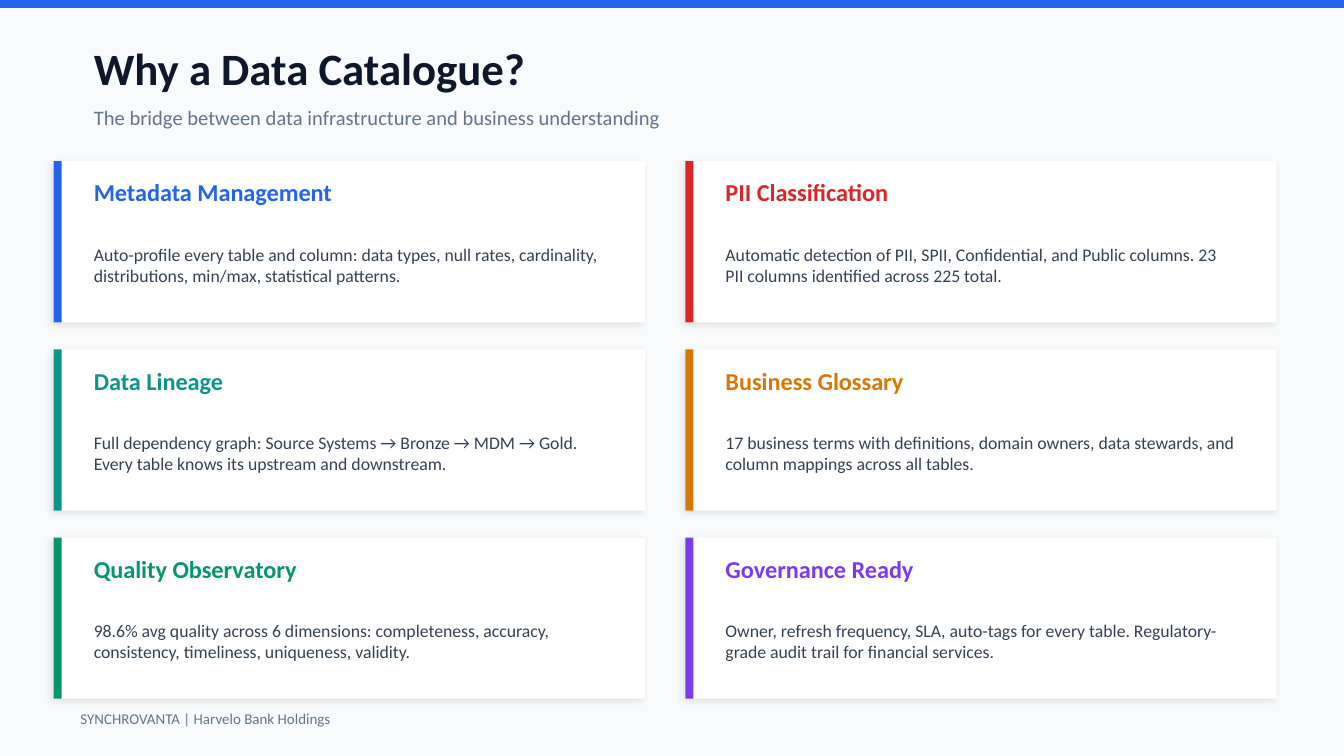
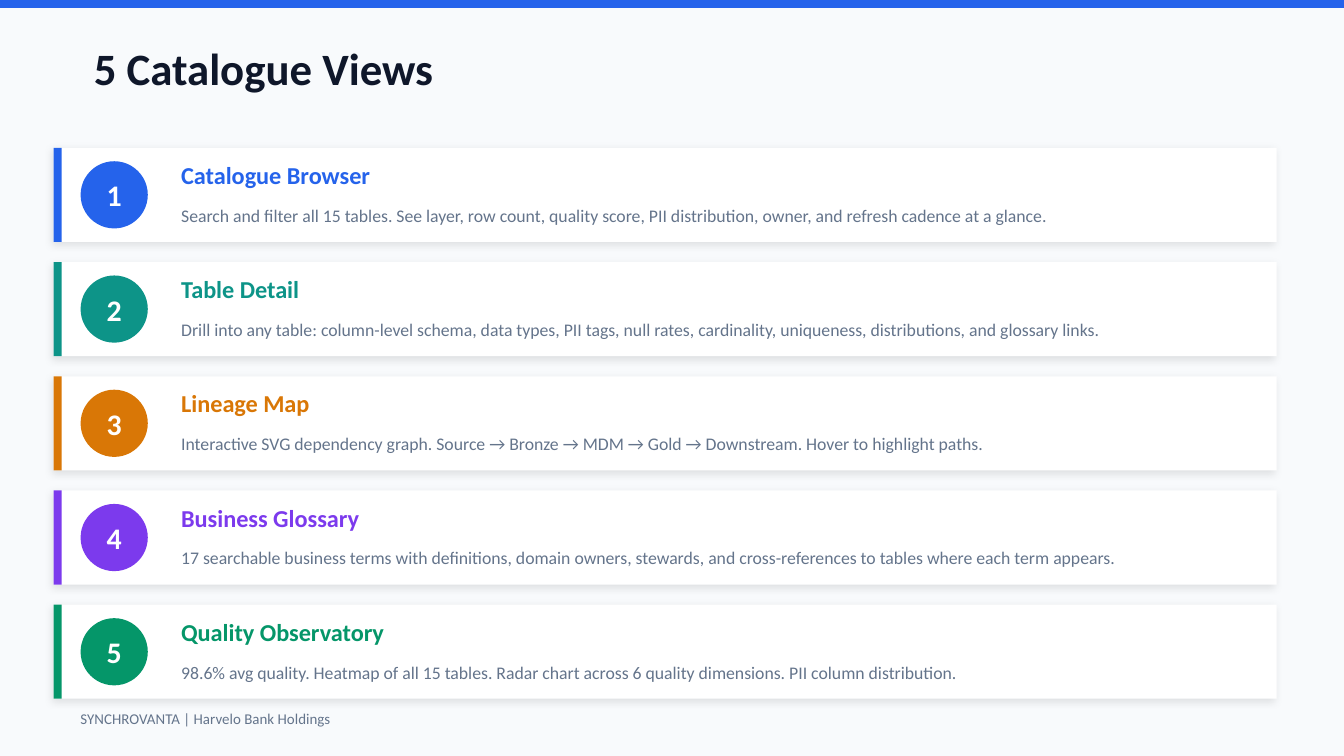
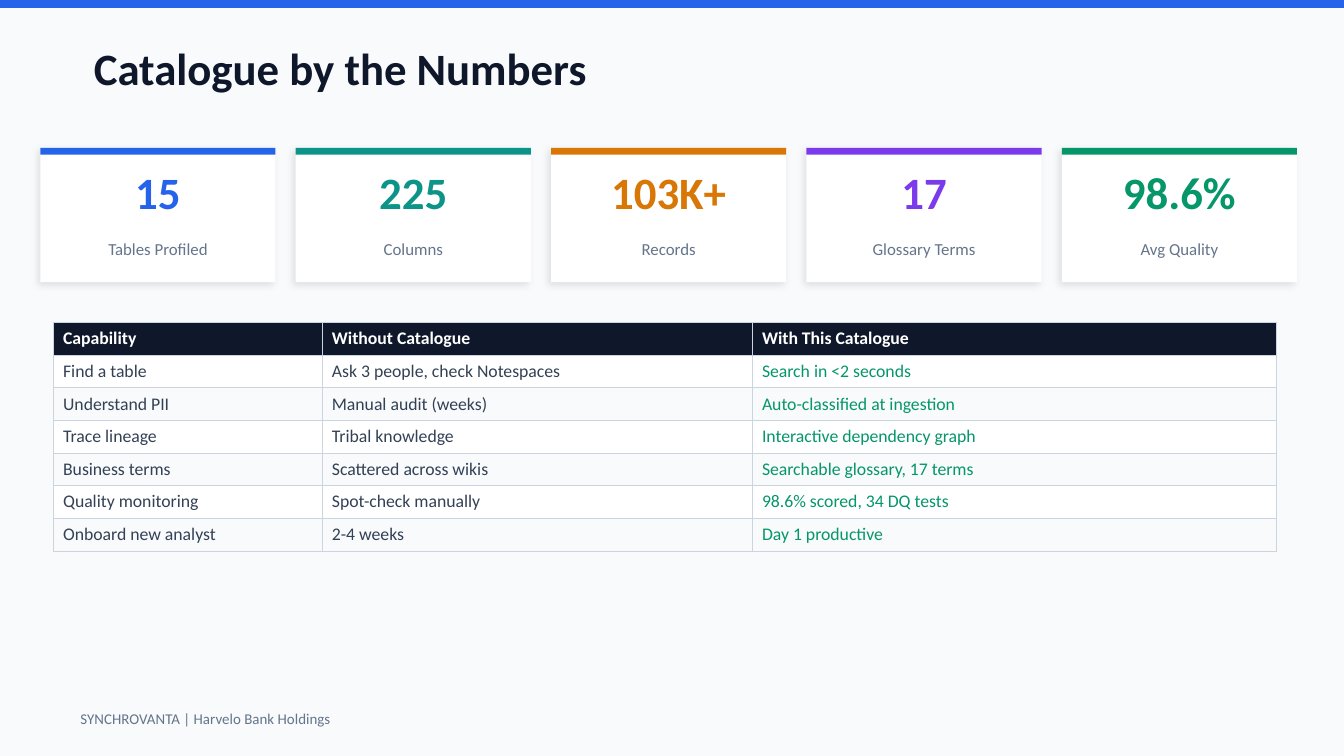
import pptx
import pptx.dml.color
import pptx.enum.shapes
import pptx.enum.text
import pptx.oxml
import pptx.oxml.ns
import pptx.util

Pt = pptx.util.Pt
RGBColor = pptx.dml.color.RGBColor
RECTANGLE = pptx.enum.shapes.MSO_SHAPE.RECTANGLE
OVAL = pptx.enum.shapes.MSO_SHAPE.OVAL
LEFT = pptx.enum.text.PP_ALIGN.LEFT
CENTER = pptx.enum.text.PP_ALIGN.CENTER
NAMESPACE = pptx.oxml.ns.nsdecls("a")

COLORS = {
    "background": "F8FAFC",
    "white": "FFFFFF",
    "ink": "0F172A",
    "body": "334155",
    "muted": "64748B",
    "border": "CBD5E1",
    "blue": "2563EB",
    "red": "DC2626",
    "teal": "0D9488",
    "amber": "D97706",
    "green": "059669",
    "violet": "7C3AED",
}
FONT = "Calibri"
FOOTER = "SYNCHROVANTA | Harvelo Bank Holdings"
SHADOW = (
    f'<a:outerShdw {NAMESPACE} blurRad="50800" dist="25400" dir="8100000" algn="bl" rotWithShape="0">'
    '<a:srgbClr val="000000"><a:alpha val="10000"/></a:srgbClr></a:outerShdw>'
)


def add_block(slide, kind, left, top, width, height, color, raised=False):
    shape = slide.shapes.add_shape(kind, Pt(left), Pt(top), Pt(width), Pt(height))
    shape.shadow.inherit = False
    shape.fill.solid()
    shape.fill.fore_color.rgb = RGBColor.from_string(COLORS[color])
    shape.line.fill.background()
    if raised:
        effects = shape._element.spPr.find(pptx.oxml.ns.qn("a:effectLst"))
        effects.append(pptx.oxml.parse_xml(SHADOW))
    return shape


def add_text(slide, left, top, width, height, text, size, color, bold=False, align=LEFT):
    box = slide.shapes.add_textbox(Pt(left), Pt(top), Pt(width), Pt(height))
    frame = box.text_frame
    frame.word_wrap = True
    frame.vertical_anchor = pptx.enum.text.MSO_ANCHOR.MIDDLE
    paragraph = frame.paragraphs[0]
    paragraph.text = text
    paragraph.alignment = align
    paragraph.font.name = FONT
    paragraph.font.size = Pt(size)
    paragraph.font.bold = bold
    paragraph.font.color.rgb = RGBColor.from_string(COLORS[color])


presentation = pptx.Presentation()
presentation.slide_width = Pt(720)
presentation.slide_height = Pt(405)

slides = []
for title in ["Why a Data Catalogue?", "5 Catalogue Views", "Catalogue by the Numbers"]:
    slide = presentation.slides.add_slide(presentation.slide_layouts[6])
    slide.background.fill.solid()
    slide.background.fill.fore_color.rgb = RGBColor.from_string(COLORS["background"])
    add_block(slide, RECTANGLE, 0, 0, 720, 4.32, "blue")
    add_text(slide, 43.2, 18, 612, 36, title, 24, "ink", bold=True)
    add_text(slide, 36, 374.4, 648, 21.6, FOOTER, 8, "muted")
    slides.append(slide)
reasons_slide, views_slide, numbers_slide = slides

add_text(reasons_slide, 43.2, 51.84, 612, 21.6,
         "The bridge between data infrastructure and business understanding", 11, "muted")
reasons = [
    ("Metadata Management", "blue",
     "Auto-profile every table and column: data types, null rates, cardinality, "
     "distributions, min/max, statistical patterns."),
    ("PII Classification", "red",
     "Automatic detection of PII, SPII, Confidential, and Public columns. "
     "23 PII columns identified across 225 total."),
    ("Data Lineage", "teal",
     "Full dependency graph: Source Systems → Bronze → MDM → Gold. "
     "Every table knows its upstream and downstream."),
    ("Business Glossary", "amber",
     "17 business terms with definitions, domain owners, data stewards, "
     "and column mappings across all tables."),
    ("Quality Observatory", "green",
     "98.6% avg quality across 6 dimensions: completeness, accuracy, "
     "consistency, timeliness, uniqueness, validity."),
    ("Governance Ready", "violet",
     "Owner, refresh frequency, SLA, auto-tags for every table. "
     "Regulatory-grade audit trail for financial services."),
]
for index, (heading, color, description) in enumerate(reasons):
    row, column = divmod(index, 2)
    left = 28.8 + column * 338.4
    top = 86.4 + row * 100.8
    add_block(reasons_slide, RECTANGLE, left, top, 316.8, 86.4, "white", raised=True)
    add_block(reasons_slide, RECTANGLE, left, top, 4.32, 86.4, color)
    add_text(reasons_slide, left + 14.4, top + 5.76, 288, 21.6, heading, 13, color, bold=True)
    add_text(reasons_slide, left + 14.4, top + 30.24, 288, 50.4, description, 9.5, "body")

views = [
    ("Catalogue Browser", "blue",
     "Search and filter all 15 tables. See layer, row count, quality score, "
     "PII distribution, owner, and refresh cadence at a glance."),
    ("Table Detail", "teal",
     "Drill into any table: column-level schema, data types, PII tags, null rates, "
     "cardinality, uniqueness, distributions, and glossary links."),
    ("Lineage Map", "amber",
     "Interactive SVG dependency graph. Source → Bronze → MDM → Gold → Downstream. "
     "Hover to highlight paths."),
    ("Business Glossary", "violet",
     "17 searchable business terms with definitions, domain owners, stewards, "
     "and cross-references to tables where each term appears."),
    ("Quality Observatory", "green",
     "98.6% avg quality. Heatmap of all 15 tables. Radar chart across 6 quality "
     "dimensions. PII column distribution."),
]
for index, (heading, color, description) in enumerate(views):
    top = 79.2 + index * 61.2
    add_block(views_slide, RECTANGLE, 28.8, top, 655.2, 50.4, "white", raised=True)
    add_block(views_slide, RECTANGLE, 28.8, top, 4.32, 50.4, color)
    add_block(views_slide, OVAL, 43.2, top + 7.2, 36, 36, color)
    add_text(views_slide, 43.2, top + 7.2, 36, 36, str(index + 1), 16, "white", bold=True, align=CENTER)
    add_text(views_slide, 90, top + 3.6, 144, 21.6, heading, 13, color, bold=True)
    add_text(views_slide, 90, top + 25.2, 576, 21.6, description, 9.5, "muted")

metrics = [
    ("15", "Tables Profiled", "blue"),
    ("225", "Columns", "teal"),
    ("103K+", "Records", "amber"),
    ("17", "Glossary Terms", "violet"),
    ("98.6%", "Avg Quality", "green"),
]
for index, (value, label, color) in enumerate(metrics):
    left = 21.6 + index * 136.8
    add_block(numbers_slide, RECTANGLE, left, 79.2, 126, 72, "white", raised=True)
    add_block(numbers_slide, RECTANGLE, left, 79.2, 126, 3.6, color)
    add_text(numbers_slide, left, 86.4, 126, 32.4, value, 24, color, bold=True, align=CENTER)
    add_text(numbers_slide, left, 122.4, 126, 21.6, label, 9, "muted", align=CENTER)

comparison = [
    ("Capability", "Without Catalogue", "With This Catalogue"),
    ("Find a table", "Ask 3 people, check Notespaces", "Search in <2 seconds"),
    ("Understand PII", "Manual audit (weeks)", "Auto-classified at ingestion"),
    ("Trace lineage", "Tribal knowledge", "Interactive dependency graph"),
    ("Business terms", "Scattered across wikis", "Searchable glossary, 17 terms"),
    ("Quality monitoring", "Spot-check manually", "98.6% scored, 34 DQ tests"),
    ("Onboard new analyst", "2-4 weeks", "Day 1 productive"),
]
row_height = 17.5
table = numbers_slide.shapes.add_table(
    len(comparison), 3, Pt(28.8), Pt(172.8), Pt(655.2), Pt(row_height * len(comparison))
).table
for column, width in zip(table.columns, [144, 230.4, 280.8]):
    column.width = Pt(width)
for row_index, entries in enumerate(comparison):
    table.rows[row_index].height = Pt(row_height)
    is_header = row_index == 0
    if is_header:
        fill_color = "ink"
    else:
        fill_color = "white" if row_index % 2 else "background"
    for column_index, (entry, body_color) in enumerate(zip(entries, ["body", "body", "green"])):
        cell = table.cell(row_index, column_index)
        cell.margin_left = cell.margin_right = Pt(5.04)
        cell.margin_top = cell.margin_bottom = Pt(2.88)
        for side in ["lnL", "lnR", "lnT", "lnB"]:
            cell._tc.get_or_add_tcPr().append(pptx.oxml.parse_xml(
                f'<a:{side} {NAMESPACE} w="6350"><a:solidFill>'
                f'<a:srgbClr val="{COLORS["border"]}"/></a:solidFill></a:{side}>'
            ))
        cell.fill.solid()
        cell.fill.fore_color.rgb = RGBColor.from_string(COLORS[fill_color])
        paragraph = cell.text_frame.paragraphs[0]
        paragraph.text = entry
        paragraph.font.name = FONT
        paragraph.font.size = Pt(9.5)
        paragraph.font.bold = is_header
        paragraph.font.color.rgb = RGBColor.from_string(COLORS["white" if is_header else body_color])

presentation.save("out.pptx")
